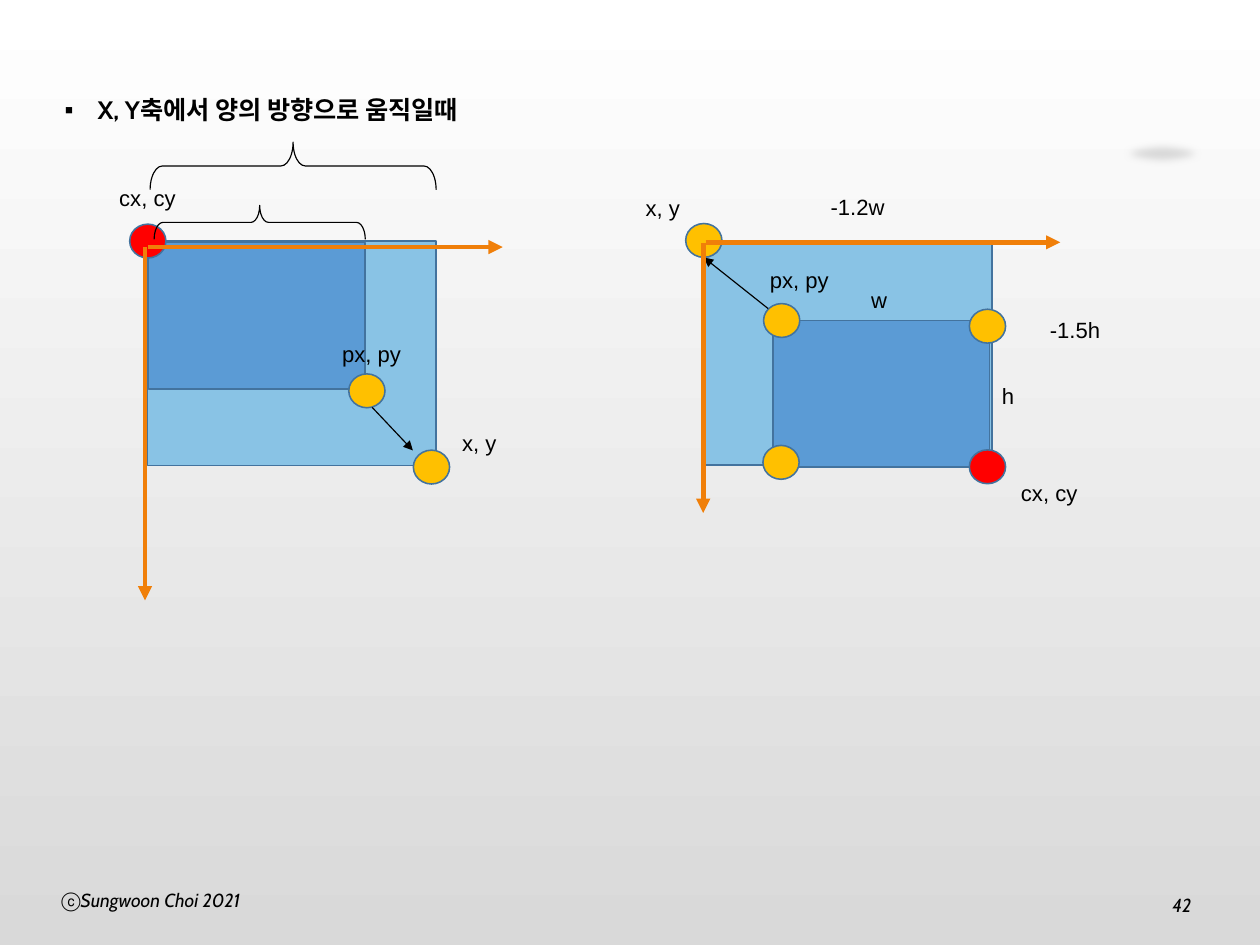
from dataclasses import dataclass

from lxml import etree
from pptx import Presentation
from pptx.dml.color import RGBColor
from pptx.enum import shapes, text
from pptx.oxml import ns
from pptx.util import Pt


@dataclass(frozen=True)
class Theme:
    top: str = "FFFFFF"
    bottom: str = "D9D9D9"
    ink: str = "000000"
    outer: str = "89C3E5"
    inner: str = "5B9BD5"
    outline: str = "43739E"
    moving: str = "FFC000"
    fixed: str = "FF0000"
    axis: str = "F07F09"
    heading_font: str = "Cabin"
    label_font: str = "Arial"
    heading_size: float = 16
    label_size: float = 14
    footer_size: float = 12


THEME = Theme()
KIND = shapes.MSO_SHAPE
OUTER_SIZE = (183, 142.5)
INNER_SIZE = (137.5, 93)
DOT_SIZE = (23, 21.5)
LABEL_SIZE = (52.5, 31.5)


def rgb(colour):
    return RGBColor.from_string(colour)


def centred(centre, size):
    """Left, top, width and height of a box around its centre."""
    (x, y), (width, height) = centre, size
    return x - width / 2, y - height / 2, width, height


def add_element(parent, tag, **attributes):
    return etree.SubElement(parent, ns.qn(tag), **attributes)


def add_shape(page, kind, box, fill=None, line=None, weight=1):
    shape = page.shapes.add_shape(kind, *map(Pt, box))
    shape.shadow.inherit = False
    if fill:
        shape.fill.solid()
        shape.fill.fore_color.rgb = rgb(fill)
    else:
        shape.fill.background()
    if line:
        shape.line.color.rgb = rgb(line)
        shape.line.width = Pt(weight)
    else:
        shape.line.fill.background()
    return shape


def add_dot(page, centre, fill):
    add_shape(page, KIND.OVAL, centred(centre, DOT_SIZE), fill, THEME.outline)


def add_brace(page, centre, size):
    """Brace that opens downwards; size is given before its quarter turn."""
    brace = add_shape(page, KIND.RIGHT_BRACE, centred(centre, size),
                      line=THEME.ink, weight=0.75)
    brace.rotation = 270
    brace.adjustments[0] = 0.257


def add_arrow(parent, start, end, colour, weight):
    arrow = parent.shapes.add_connector(
        shapes.MSO_CONNECTOR.STRAIGHT, *map(Pt, (*start, *end)))
    arrow.line.color.rgb = rgb(colour)
    arrow.line.width = Pt(weight)
    add_element(arrow.line._get_or_add_ln(), "a:tailEnd", type="triangle")
    add_element(arrow._element.spPr, "a:effectLst")


def add_axes(page, down, right):
    group = page.shapes.add_group_shape()
    for start, end in (down, right):
        add_arrow(group, start, end, THEME.axis, 3)


def add_text(page, box, words, font, size, insets=(8, 4.5), align=None,
             bold=None, italic=None):
    frame = page.shapes.add_textbox(*map(Pt, box)).text_frame
    frame.word_wrap = True
    frame.margin_left = frame.margin_right = Pt(insets[0])
    frame.margin_top = frame.margin_bottom = Pt(insets[1])
    para = frame.paragraphs[0]
    para.text = words
    para.alignment = align
    para.font.name = font
    para.font.size = Pt(size)
    para.font.bold = bold
    para.font.italic = italic
    para.font.color.rgb = rgb(THEME.ink)
    return frame


def set_bullet(para, mark, indent=0):
    """Bullet in a named text font, so that a missing glyph is substituted."""
    properties = para._p.get_or_add_pPr()
    properties.set("marL", str(Pt(indent)))
    properties.set("indent", str(-Pt(indent)))
    defaults = properties.find(ns.qn("a:defRPr"))
    for tag, attributes in (("a:buFont", {"typeface": THEME.label_font}),
                            ("a:buChar", {"char": mark})):
        defaults.addprevious(etree.Element(ns.qn(tag), **attributes))


def add_label(page, words, centre):
    frame = add_text(page, centred(centre, LABEL_SIZE), words,
                     THEME.label_font, THEME.label_size, (0, 0),
                     text.PP_ALIGN.CENTER)
    frame.vertical_anchor = text.MSO_ANCHOR.MIDDLE


def add_backdrop(page):
    fill = page.background.fill
    fill.gradient()
    fill.gradient_angle = 270
    for stop, colour, place in zip(fill.gradient_stops,
                                   (THEME.top, THEME.bottom), (0, 1)):
        stop.color.rgb = rgb(colour)
        stop.position = place
    glow = add_shape(page, KIND.OVAL, (706.5, 88.5, 62.5, 18), THEME.bottom)
    effects = glow._element.spPr.find(ns.qn("a:effectLst"))
    add_element(effects, "a:softEdge", rad=str(Pt(5)))


def add_heading_and_footer(page):
    heading = add_text(page, (33, 55.6, 362, 505), "X, Y축에서 양의 방향으로 움직일때",
                       THEME.heading_font, THEME.heading_size, bold=True)
    heading.paragraphs[0].space_before = Pt(3.2)
    set_bullet(heading.paragraphs[0], "▪", 21)
    credit = add_text(page, (31, 559.6, 147.5, 24), "Sungwoon Choi 2021",
                      THEME.heading_font, THEME.footer_size, italic=True)
    set_bullet(credit.paragraphs[0], "ⓒ")
    add_text(page, (715.5, 562.6, 48.5, 18), "42", THEME.heading_font,
             THEME.footer_size, align=text.PP_ALIGN.RIGHT, italic=True)


def add_scaling(page, outer, inner, fixed, moving, move, labels, braces, axes):
    """One diagram: both rectangles, their corner dots, labels and axes."""
    for corner, size, fill in ((outer, OUTER_SIZE, THEME.outer),
                               (inner, INNER_SIZE, THEME.inner)):
        add_shape(page, KIND.RECTANGLE, (*corner, *size), fill, THEME.outline)
    add_dot(page, fixed, THEME.fixed)
    for centre in moving:
        add_dot(page, centre, THEME.moving)
    add_arrow(page, *move, THEME.ink, 0.75)
    for words, centre in labels.items():
        add_label(page, words, centre)
    for centre, size in braces:
        add_brace(page, centre, size)
    add_axes(page, *axes)


def main():
    deck = Presentation()
    deck.slide_width, deck.slide_height = Pt(799.5), Pt(599.6)
    page = deck.slides.add_slide(deck.slide_layouts[6])
    add_backdrop(page)
    add_heading_and_footer(page)
    add_scaling(
        page, outer=(93.6, 153), inner=(94.2, 154), fixed=(93.8, 153),
        moving=[(232.8, 248), (273.8, 296.4)],
        move=((236.2, 258.5), (262, 285.8)),
        labels={"px, py": (235.8, 224.4), "x, y": (304.2, 281),
                "cx, cy": (93.6, 125.5)},
        braces=[((164.8, 141.1), (21.6, 134)), ((186, 105.3), (30.2, 181.5))],
        axes=(((92, 157), (92, 381)), ((93.6, 156.8), (319, 156.8))))
    add_scaling(
        page, outer=(446.6, 152.6), inner=(490.4, 203.4), fixed=(626.6, 296.2),
        moving=[(446.6, 152.6), (496, 203.4), (626.6, 207), (495.6, 293.4)],
        move=((487.4, 195.8), (446.6, 163.4)),
        labels={"px, py": (507.2, 177.6), "x, y": (420.6, 131.8),
                "cx, cy": (665.8, 312.6), "w": (557.8, 190.4),
                "-1.2w": (544.2, 131.2), "-1.5h": (682.2, 209.2),
                "h": (639.6, 251)},
        braces=[],
        axes=(((446.2, 154), (446.2, 325.5)), ((447.8, 153.8), (672.8, 153.8))))
    deck.save("out.pptx")


if __name__ == "__main__":
    main()
